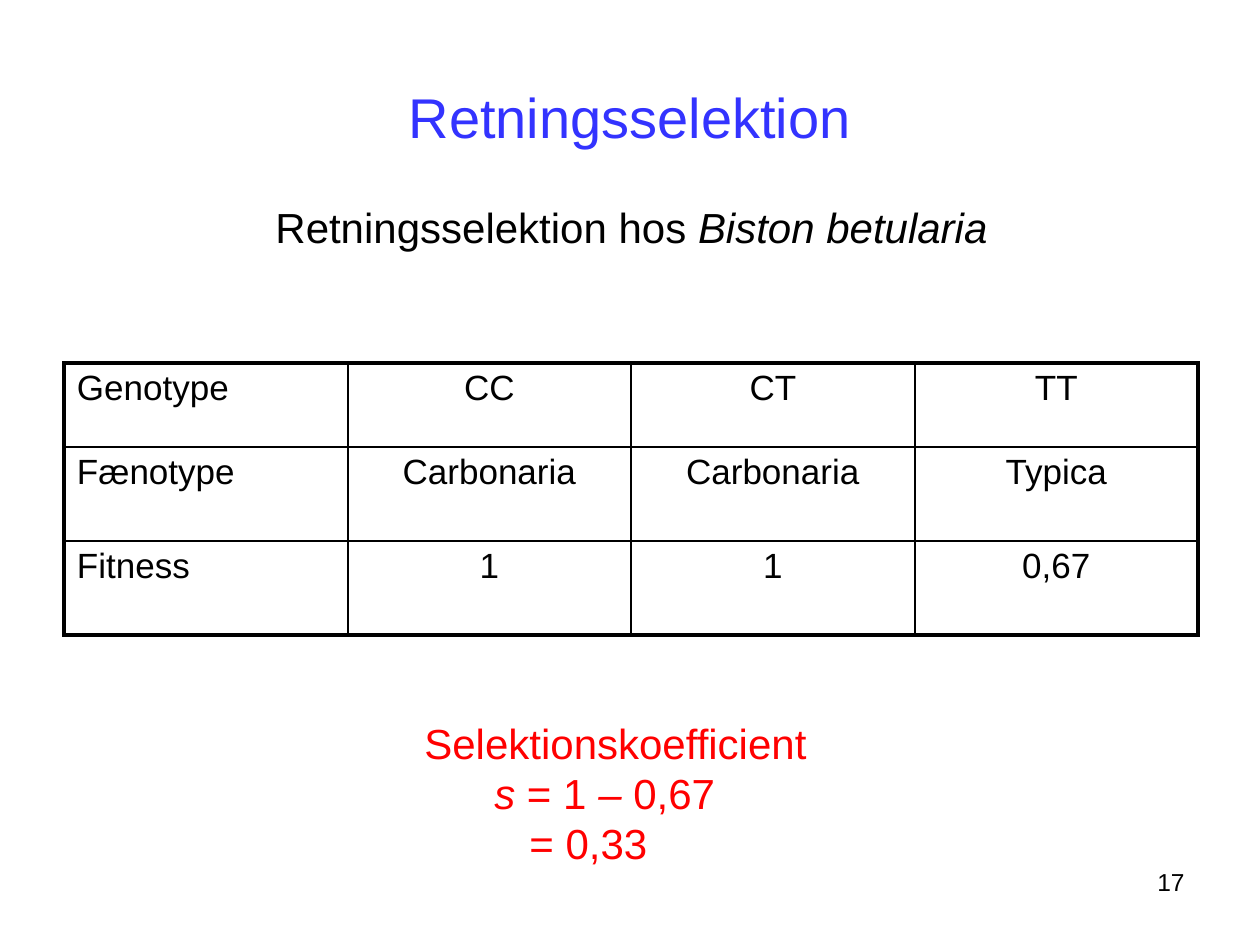
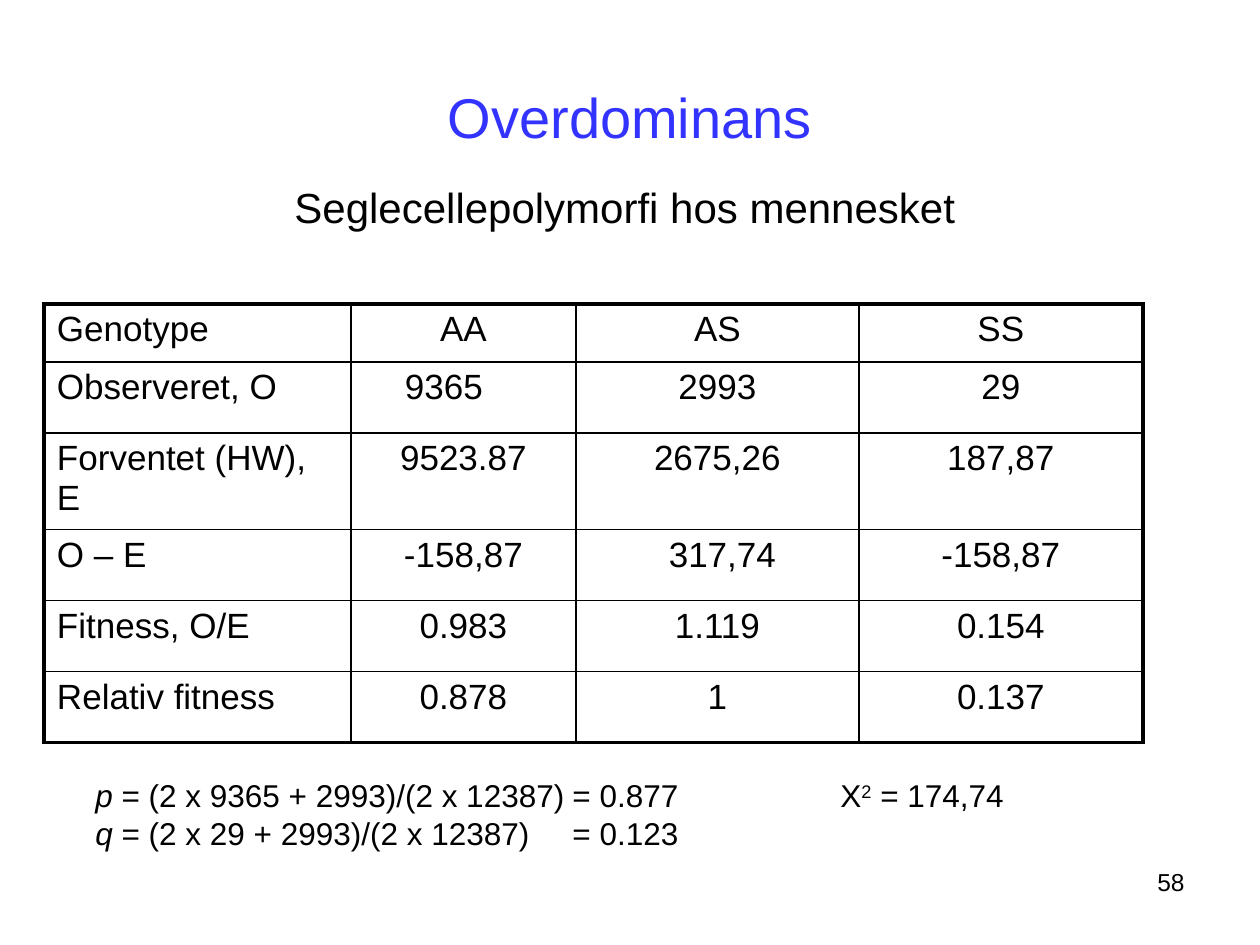
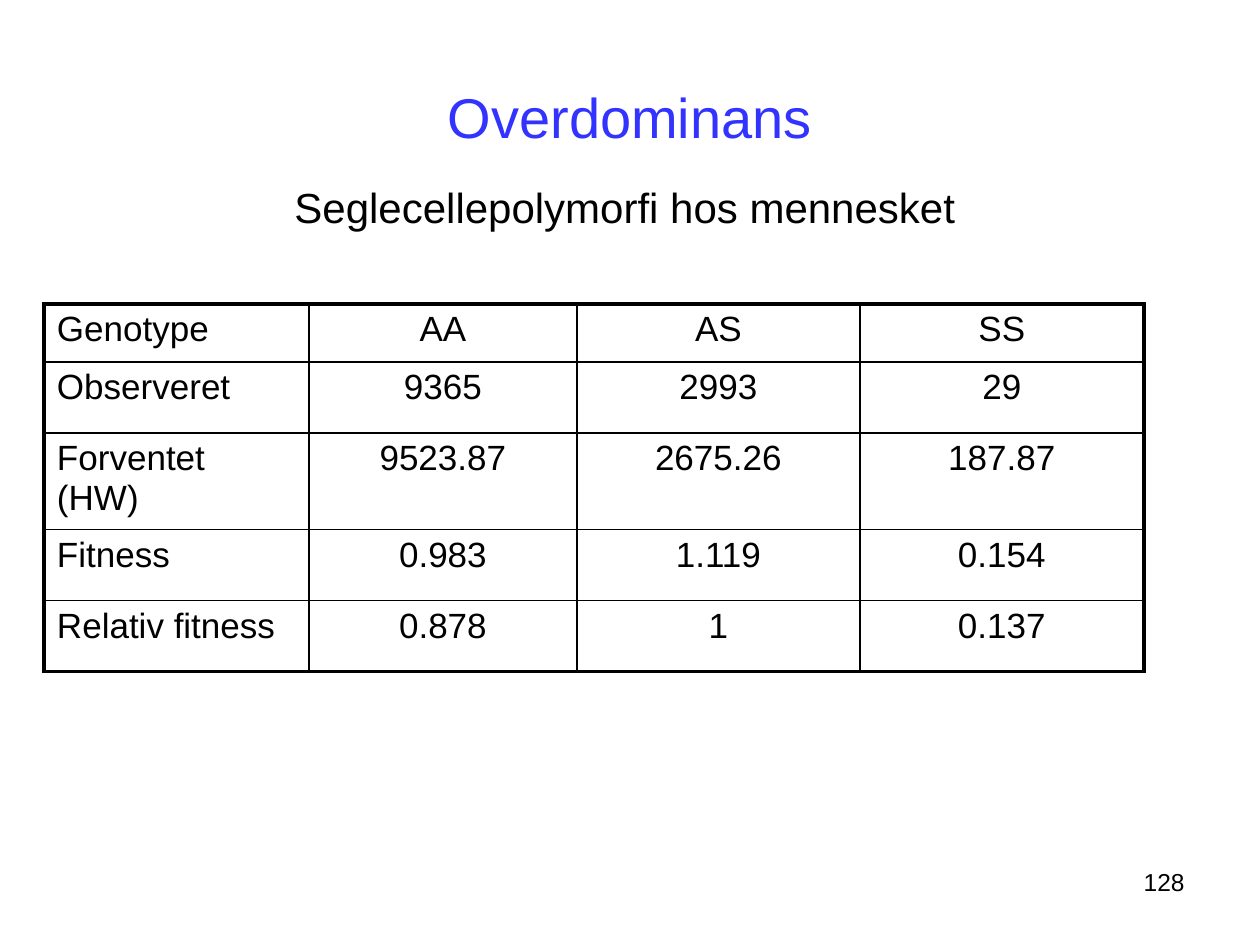
import pptx
import pptx.dml.color
import pptx.enum.text
import pptx.oxml.ns
import pptx.util
from lxml import etree

PX = 914400 // 126
FONT = "Arial"
BLACK = pptx.dml.color.RGBColor(0x00, 0x00, 0x00)
BLUE = pptx.dml.color.RGBColor(0x33, 0x33, 0xFF)
RED = pptx.dml.color.RGBColor(0xFF, 0x00, 0x00)

LEFT = pptx.enum.text.PP_ALIGN.LEFT
CENTER = pptx.enum.text.PP_ALIGN.CENTER
RIGHT = pptx.enum.text.PP_ALIGN.RIGHT
MIDDLE = pptx.enum.text.MSO_ANCHOR.MIDDLE
TOP = pptx.enum.text.MSO_ANCHOR.TOP

TITLE_BOX = (63, 38, 1134, 157)
NUMBER_BOX = (903, 861, 294, 66)
CELL_MARGIN = 13
INNER_LINE, OUTER_LINE = 1, 2.25

# A line of text is (left indent, tab stop, runs); a run is (text, style).
SICKLE_CELL = {"box": (282, 175, 690, 63), "size": 24, "color": BLACK,
               "lines": [(0, None, [("Seglecellepolymorfi hos mennesket", "")])]}

SLIDES = [
    {
        "title": "Retningsselektion",
        "number": "17",
        "table": {
            "at": (64, 363),
            "columns": [284, 283, 284, 283],
            "row_heights": [84, 94, 94],
            "rows": [
                ("Genotype", "CC", "CT", "TT"),
                ("Fænotype", "Carbonaria", "Carbonaria", "Typica"),
                ("Fitness", "1", "1", "0,67"),
            ],
        },
        "texts": [
            {"box": (412, 711, 423, 165), "size": 24, "color": RED,
             "lines": [
                 (0, None, [("Selektionskoefficient", "")]),
                 (70, None, [("s", "italic"), (" = 1 ", ""), ("– ", "italic"), ("0,67", "")]),
                 (105, None, [("= 0,33", "")]),
             ]},
            {"box": (263, 195, 742, 63), "size": 24, "color": BLACK,
             "lines": [(0, None, [("Retningsselektion hos ", ""), ("Biston betularia", "italic")])]},
        ],
    },
    {
        "title": "Overdominans",
        "number": "58",
        "table": {
            "at": (44, 304),
            "columns": [307, 225, 283, 284],
            "row_heights": [58] + [71] * 5,
            "rows": [
                ("Genotype", "AA", "AS", "SS"),
                ("Observeret, O", "9365", "2993", "29"),
                ("Forventet (HW), E", "9523.87", "2675,26", "187,87"),
                ("O – E", "-158,87", "317,74", "-158,87"),
                ("Fitness, O/E", "0.983", "1.119", "0.154"),
                ("Relativ fitness", "0.878", "1", "0.137"),
            ],
            # (row, column): extra left and right margin
            "extra_margins": {(1, 1): (0, 39), (3, 2): (10, 0)},
        },
        "texts": [
            SICKLE_CELL,
            {"box": (83, 770, 612, 88), "size": 18, "color": BLACK,
             "lines": [
                 (0, 477, [("p", "italic"), (" = (2 x 9365 + 2993)/(2 x 12387)\t= 0.877", "")]),
                 (0, 477, [("q", "italic"), (" = (2 x 29 + 2993)/(2 x 12387)\t= 0.123", "")]),
             ]},
            {"box": (828, 770, 196, 50), "size": 18, "color": BLACK,
             "lines": [(0, None, [("X", ""), ("2", "superscript"), (" = 174,74", "")])]},
        ],
    },
    {
        "title": "Overdominans",
        "number": "128",
        "table": {
            "at": (44, 304),
            "columns": [265, 268, 283, 284],
            "row_heights": [58] + [71] * 4,
            "rows": [
                ("Genotype", "AA", "AS", "SS"),
                ("Observeret", "9365", "2993", "29"),
                ("Forventet (HW)", "9523.87", "2675.26", "187.87"),
                ("Fitness", "0.983", "1.119", "0.154"),
                ("Relativ fitness", "0.878", "1", "0.137"),
            ],
        },
        "texts": [SICKLE_CELL],
    },
]


def emu(lengths):
    return [length * PX for length in lengths]


def add_run(paragraph, text, size, color, style=""):
    run = paragraph.add_run()
    run.text = text
    run.font.name = FONT
    run.font.size = pptx.util.Pt(size)
    run.font.color.rgb = color
    run.font.italic = style == "italic"
    if style == "superscript":
        run._r.get_or_add_rPr().set("baseline", "30000")


def set_indent_and_tab(paragraph, indent, tab):
    properties = paragraph._p.get_or_add_pPr()
    if indent:
        properties.set("marL", str(indent * PX))
        properties.set("indent", "0")
    if tab:
        tabs = etree.SubElement(properties, pptx.oxml.ns.qn("a:tabLst"))
        etree.SubElement(tabs, pptx.oxml.ns.qn("a:tab"), pos=str(tab * PX), algn="l")


def add_text(slide, box, lines, size, color, align=LEFT, anchor=TOP):
    frame = slide.shapes.add_textbox(*emu(box)).text_frame
    frame.word_wrap = True
    frame.vertical_anchor = anchor
    for index, (indent, tab, runs) in enumerate(lines):
        paragraph = frame.add_paragraph() if index else frame.paragraphs[0]
        set_indent_and_tab(paragraph, indent, tab)
        paragraph.alignment = align
        for text, style in runs:
            add_run(paragraph, text, size, color, style)


def add_border(cell, side, width):
    line = etree.SubElement(cell._tc.get_or_add_tcPr(), pptx.oxml.ns.qn("a:ln" + side),
                            w=str(pptx.util.Pt(width)))
    fill = etree.SubElement(line, pptx.oxml.ns.qn("a:solidFill"))
    etree.SubElement(fill, pptx.oxml.ns.qn("a:srgbClr"), val=str(BLACK))


def add_genotype_table(slide, at, columns, row_heights, rows, extra_margins=None):
    size = (sum(columns), sum(row_heights))
    table = slide.shapes.add_table(len(rows), len(columns), *emu(at + size)).table
    table.first_row = table.horz_banding = False
    for column, width in zip(table.columns, emu(columns)):
        column.width = width
    for row, height in zip(table.rows, emu(row_heights)):
        row.height = height
    last_row, last_column = len(rows) - 1, len(columns) - 1
    for r, values in enumerate(rows):
        for c, value in enumerate(values):
            cell = table.cell(r, c)
            extra_left, extra_right = (extra_margins or {}).get((r, c), (0, 0))
            cell.margin_left = (CELL_MARGIN + extra_left) * PX
            cell.margin_right = (CELL_MARGIN + extra_right) * PX
            outer = {"L": c == 0, "R": c == last_column, "T": r == 0, "B": r == last_row}
            for side, is_outer in outer.items():
                add_border(cell, side, OUTER_LINE if is_outer else INNER_LINE)
            cell.fill.background()
            paragraph = cell.text_frame.paragraphs[0]
            paragraph.alignment = CENTER if c else LEFT
            add_run(paragraph, value, 20, BLACK)


def main():
    deck = pptx.Presentation()
    deck.slide_width, deck.slide_height = emu((1260, 945))
    for content in SLIDES:
        slide = deck.slides.add_slide(deck.slide_layouts[6])
        add_text(slide, NUMBER_BOX, [(0, None, [(content["number"], "")])], 14, BLACK, RIGHT)
        add_text(slide, TITLE_BOX, [(0, None, [(content["title"], "")])], 32, BLUE, CENTER, MIDDLE)
        add_genotype_table(slide, **content["table"])
        for text in content["texts"]:
            add_text(slide, **text)
    deck.save("out.pptx")


if __name__ == "__main__":
    main()
